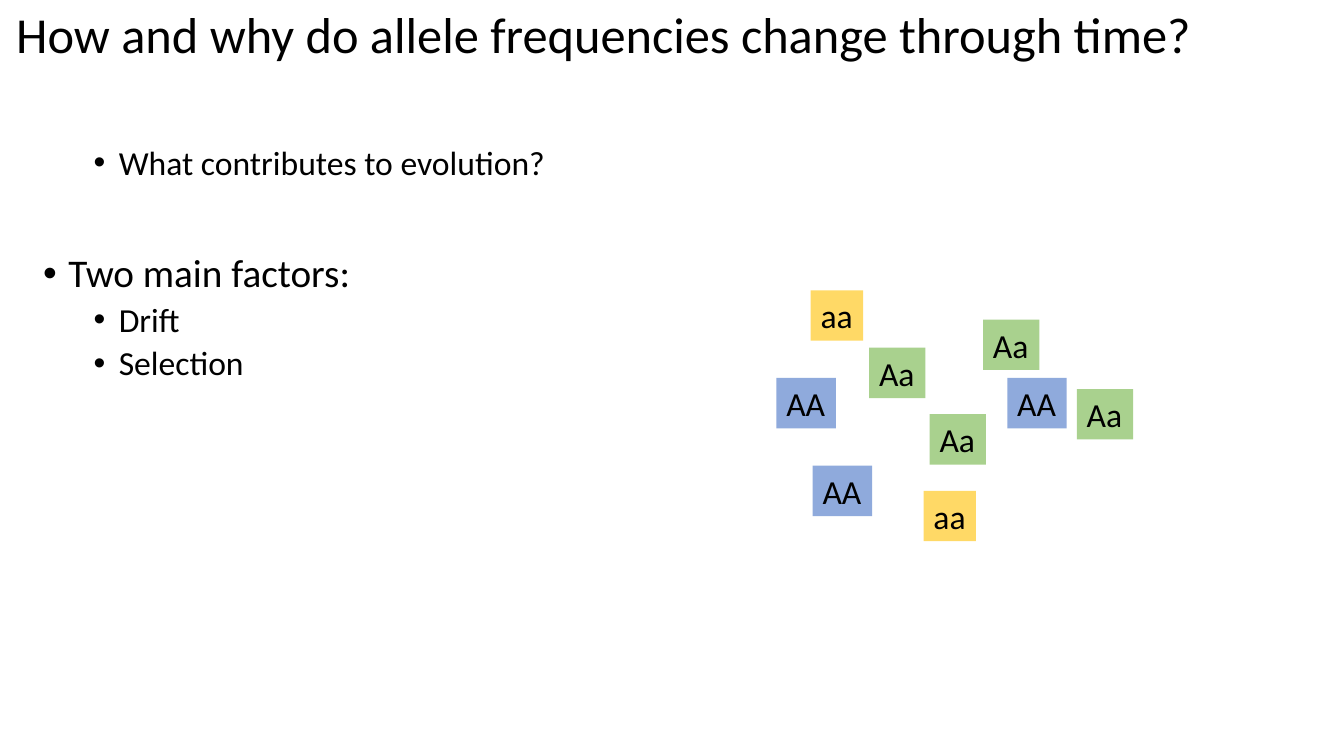
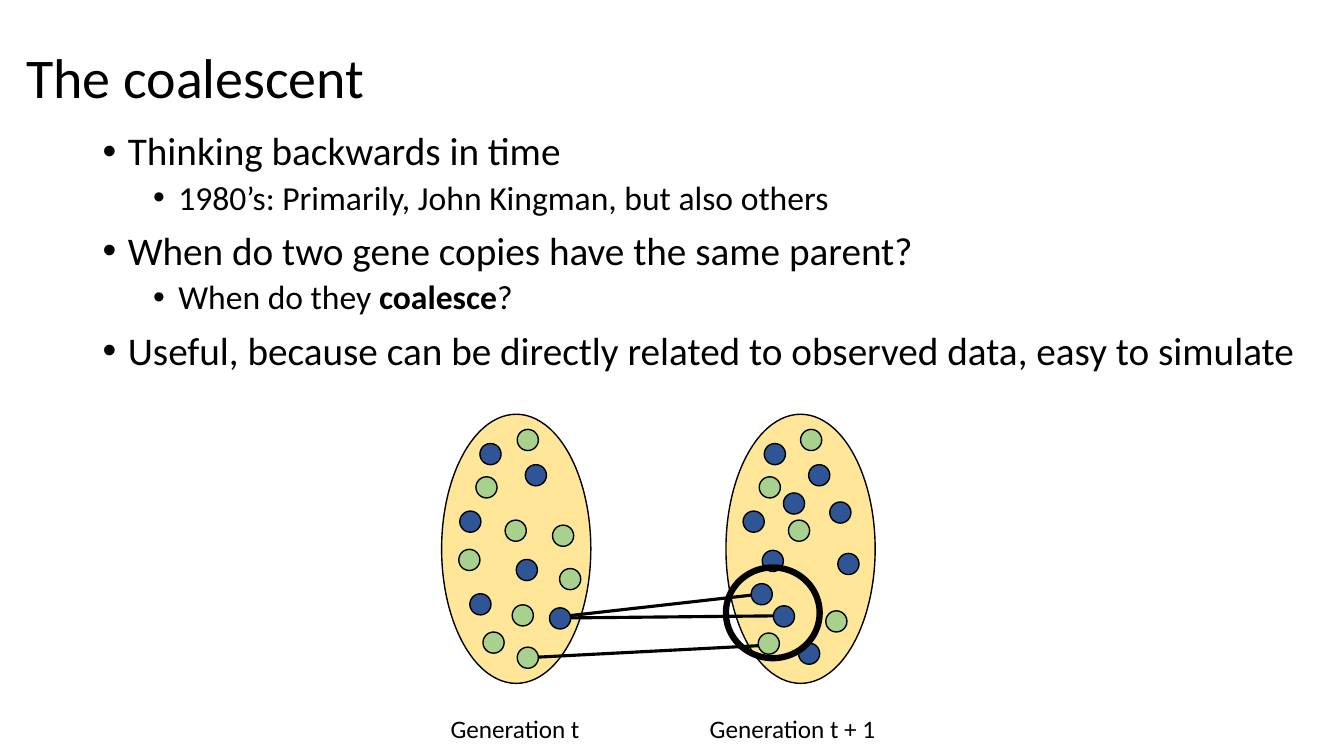
"""Build two slides on allele frequencies and the coalescent."""
from lxml.etree import SubElement
from pptx import Presentation
from pptx.dml.color import RGBColor
from pptx.enum.shapes import MSO_CONNECTOR, MSO_SHAPE
from pptx.enum.text import MSO_ANCHOR, MSO_AUTO_SIZE, PP_ALIGN
from pptx.oxml.ns import qn
from pptx.util import Emu, Pt

EMU_PER_PX = 9144
FONT = "Calibri"
COLORS = {"black": "000000", "green": "A9D18E", "light_blue": "8FAADC",
          "yellow": "FFD966", "cream": "FFE699", "blue": "2F5597"}
LEVELS = [{"size": 28, "margin": 25, "before": 10},
          {"size": 24, "margin": 75, "before": 5}]
HANGING = 25

FREQUENCY_TITLE = ("How and why do allele frequencies change through time?",
                   (6, 9, 1235, 55), 36)
FREQUENCY_BOX = (33, 140, 1209, 535)
FREQUENCY_BULLETS = [
    (1, ["What contributes to evolution?"], None),
    (0, ["Two main factors:"], 51),
    (1, ["Drift"], None),
    (1, ["Selection"], None),
]
GENOTYPES = [
    ("Aa", "green", 56, [(862, 345), (922, 411), (975, 317), (1068, 386)]),
    ("AA", "light_blue", 59, [(806, 462), (770, 375), (999, 375)]),
    ("aa", "yellow", 52, [(916, 487), (804, 288)]),
]
TILE_HEIGHT = 50

COALESCENT_TITLE = ("The coalescent", (16, 7, 1150, 145), 40)
COALESCENT_BOX = (92, 126, 1226, 533)
COALESCENT_BULLETS = [
    (0, ["Thinking backwards in time"], None),
    (1, ["1980’s: Primarily, John Kingman, but also others"], None),
    (0, ["When do two gene copies have the same parent?"], None),
    (1, ["When do they ", "*coalesce", "?"], None),
    (0, ["Useful, because can be directly related to observed data, "
         "easy to simulate"], None),
]
POPULATIONS = [(720, 411, 148, 267), (438, 411, 148, 267)]
LABELS = [("Generation t", (437, 703, 150, 40)),
          ("Generation t + 1", (694, 703, 187, 40))]
DOT = 21
PARENT_DOTS = {
    "blue": [(476, 440), (456, 507), (512, 555), (466, 589), (521, 461),
             (545, 603)],
    "green": [(548, 521), (479, 627), (472, 473), (501, 516), (455, 545),
              (555, 564), (508, 600), (513, 426), (513, 642)],
}
CHILD_DOTS = {
    "blue": [(758, 440), (737, 507), (802, 461), (756, 546), (792, 638),
             (777, 489), (831, 549), (823, 498), (767, 601)],
    "green": [(753, 473), (782, 516), (794, 426), (819, 606)],
}
CIRCLED_DOTS = {"green": [(752, 628)], "blue": [(745, 579)]}
RING = (720, 563, 93, 90)
ANCESTRY = [((767, 611), (566, 613)), ((749, 590), (545, 613)),
            ((763, 640), (513, 653))]


def px(*values):
    return [Emu(value * EMU_PER_PX) for value in values]


def color(name):
    return RGBColor.from_string(COLORS[name])


def set_font(paragraph, size):
    font = paragraph.font
    font.name, font.size, font.color.rgb = FONT, Pt(size), color("black")


def add_titled_slide(presentation, text, box, size):
    slide = presentation.slides.add_slide(presentation.slide_layouts[5])
    title = slide.shapes.title
    title.left, title.top, title.width, title.height = px(*box)
    frame = title.text_frame
    frame.text = text
    frame.auto_size = MSO_AUTO_SIZE.NONE
    frame.vertical_anchor = MSO_ANCHOR.MIDDLE
    paragraph = frame.paragraphs[0]
    paragraph.alignment = PP_ALIGN.LEFT
    paragraph.line_spacing = 0.9
    set_font(paragraph, size)
    return slide


def add_bullets(slide, box, bullets):
    frame = slide.shapes.add_textbox(*px(*box)).text_frame
    frame.word_wrap = True
    for index, (level, parts, before) in enumerate(bullets):
        style = LEVELS[level]
        paragraph = frame.add_paragraph() if index else frame.paragraphs[0]
        paragraph.level = level
        properties = paragraph._p.get_or_add_pPr()
        margin, indent = px(style["margin"], -HANGING)
        properties.set("marL", str(margin))
        properties.set("indent", str(indent))
        SubElement(properties, qn("a:buFont")).set("typeface", "Arial")
        SubElement(properties, qn("a:buChar")).set("char", "•")
        paragraph.line_spacing = 0.9
        paragraph.space_before = Pt((before or style["before"]) if index else 0)
        set_font(paragraph, style["size"])
        for part in parts:
            run = paragraph.add_run()
            run.text = part.lstrip("*")
            if part.startswith("*"):
                run.font.bold = True


def add_label(slide, text, box, size, fill=None):
    shape = slide.shapes.add_textbox(*px(*box))
    if fill:
        shape.fill.solid()
        shape.fill.fore_color.rgb = color(fill)
    frame = shape.text_frame
    frame.word_wrap = False
    frame.text = text
    set_font(frame.paragraphs[0], size)


def add_ellipse(slide, box, fill=None, line_width=1):
    shape = slide.shapes.add_shape(MSO_SHAPE.OVAL, *px(*box))
    shape.shadow.inherit = False
    if fill:
        shape.fill.solid()
        shape.fill.fore_color.rgb = color(fill)
    else:
        shape.fill.background()
    shape.line.color.rgb = color("black")
    shape.line.width = Pt(line_width)


def add_dots(slide, dots):
    for fill, positions in dots.items():
        for left, top in positions:
            add_ellipse(slide, (left, top, DOT, DOT), fill)


def add_line(slide, start, end):
    line = slide.shapes.add_connector(MSO_CONNECTOR.STRAIGHT, *px(*start, *end))
    line.line.color.rgb = color("black")
    line.line.width = Pt(2.25)
    SubElement(line._element.spPr, qn("a:effectLst"))


def build_frequency_slide(presentation):
    slide = add_titled_slide(presentation, *FREQUENCY_TITLE)
    add_bullets(slide, FREQUENCY_BOX, FREQUENCY_BULLETS)
    for genotype, fill, width, positions in GENOTYPES:
        for left, top in positions:
            add_label(slide, genotype, (left, top, width, TILE_HEIGHT), 24, fill)


def build_coalescent_slide(presentation):
    slide = add_titled_slide(presentation, *COALESCENT_TITLE)
    add_bullets(slide, COALESCENT_BOX, COALESCENT_BULLETS)
    for box in POPULATIONS:
        add_ellipse(slide, box, "cream")
    for start, end in ANCESTRY:
        add_line(slide, start, end)
    add_dots(slide, PARENT_DOTS)
    add_dots(slide, CHILD_DOTS)
    add_ellipse(slide, RING, line_width=4.5)
    add_dots(slide, CIRCLED_DOTS)
    for text, box in LABELS:
        add_label(slide, text, box, 18)


def main():
    presentation = Presentation()
    presentation.slide_width, presentation.slide_height = px(1333, 750)
    build_frequency_slide(presentation)
    build_coalescent_slide(presentation)
    presentation.save("out.pptx")


if __name__ == "__main__":
    main()
